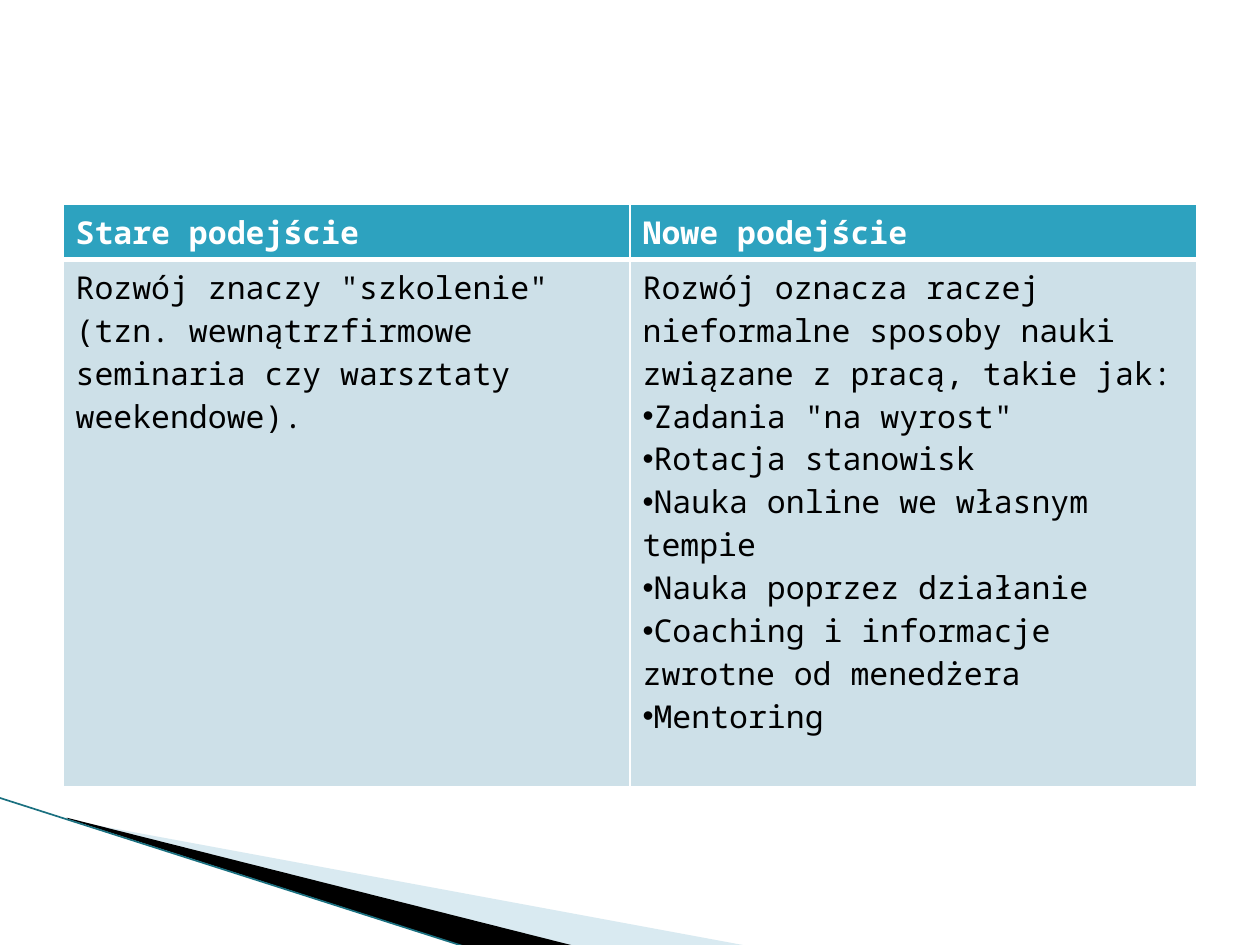
import pptx
import pptx.dml.color
import pptx.enum.shapes
import pptx.oxml
import pptx.oxml.ns
import pptx.util
from pptx.util import Inches

FONT = "Noto Sans Mono"


def colour(value):
    return pptx.dml.color.RGBColor.from_string(value)


def add_xml(parent, tag, **attributes):
    child = pptx.oxml.parse_xml(f"<a:{tag} {pptx.oxml.ns.nsdecls('a')}/>")
    for name, value in attributes.items():
        child.set(name, str(value))
    parent.append(child)
    return child


deck = pptx.Presentation()
deck.slide_width, deck.slide_height = Inches(10), Inches(7.5)
page = deck.slides.add_slide(deck.slide_layouts[6])

# Wedges in the bottom left corner: corner points, fill, opacity in percent
wedges = [
    ([(0.55, 6.51), (5.95, 7.51), (4.56, 7.51), (0.55, 6.5)], "A0CBDC", 40),
    ([(0.53, 6.49), (4.57, 7.51), (3.72, 7.52), (0.54, 6.5)], "000000", 100),
]
for points, fill, opacity in wedges:
    corners = [(Inches(x), Inches(y)) for x, y in points]
    builder = page.shapes.build_freeform(*corners[0])
    builder.add_line_segments(corners[1:], close=True)
    wedge = builder.convert_to_shape()
    wedge.shadow.inherit = False
    wedge.line.fill.background()
    wedge.fill.solid()
    wedge.fill.fore_color.rgb = colour(fill)
    if opacity < 100:
        tint = wedge.fill._xPr.find(".//" + pptx.oxml.ns.qn("a:srgbClr"))
        add_xml(tint, "alpha", val=opacity * 1000)

edge = page.shapes.add_connector(
    pptx.enum.shapes.MSO_CONNECTOR.STRAIGHT,
    Inches(-0.01), Inches(6.33), Inches(3.71), Inches(7.52))
edge.line.color.rgb = colour("1A7080")
edge.line.width = pptx.util.Pt(0.95)
add_xml(edge._element.spPr, "effectLst")

# Comparison table; lines starting with a bullet become list items
rows = [
    [["Stare podejście"], ["Nowe podejście"]],
    [
        ['Rozwój znaczy "szkolenie" (tzn. wewnątrzfirmowe seminaria czy '
         'warsztaty weekendowe).'],
        ["Rozwój oznacza raczej nieformalne sposoby nauki związane z pracą, "
         "takie jak:",
         '•Zadania "na wyrost"',
         "•Rotacja stanowisk",
         "•Nauka online we własnym tempie",
         "•Nauka poprzez działanie",
         "•Coaching i informacje zwrotne od menedżera",
         "•Mentoring"],
    ],
]
row_styles = [
    {"height": 0.44, "fill": "2DA2BF", "text": "FFFFFF", "bold": True,
     "borders": {"lnL": 1, "lnR": 1, "lnT": 1, "lnB": 3}},
    {"height": 4.18, "fill": "CDE0E8", "text": "000000", "bold": False,
     "borders": {"lnL": 1, "lnR": 1, "lnT": 3, "lnB": 1}},
]
table = page.shapes.add_table(
    2, 2, Inches(0.5), Inches(1.62), Inches(9), Inches(4.62)).table

for row, contents, style in zip(table.rows, rows, row_styles):
    row.height = Inches(style["height"])
    text_format = {"name": FONT, "size": pptx.util.Pt(18), "bold": style["bold"]}
    for cell, lines in zip(row.cells, contents):
        properties = cell._tc.get_or_add_tcPr()
        for side, width in style["borders"].items():
            border = add_xml(properties, side, w=pptx.util.Pt(width))
            add_xml(add_xml(border, "solidFill"), "srgbClr", val="FFFFFF")
        cell.fill.solid()
        cell.fill.fore_color.rgb = colour(style["fill"])
        for index, line in enumerate(lines):
            frame = cell.text_frame
            para = frame.add_paragraph() if index else frame.paragraphs[0]
            if line.startswith("•"):
                add_xml(para._p.get_or_add_pPr(), "buFont", typeface="Arial")
                add_xml(para._p.get_or_add_pPr(), "buChar", char="•")
            span = para.add_run()
            span.text = line.lstrip("•")
            for name, value in text_format.items():
                setattr(span.font, name, value)
            span.font.color.rgb = colour(style["text"])

deck.save("out.pptx")
